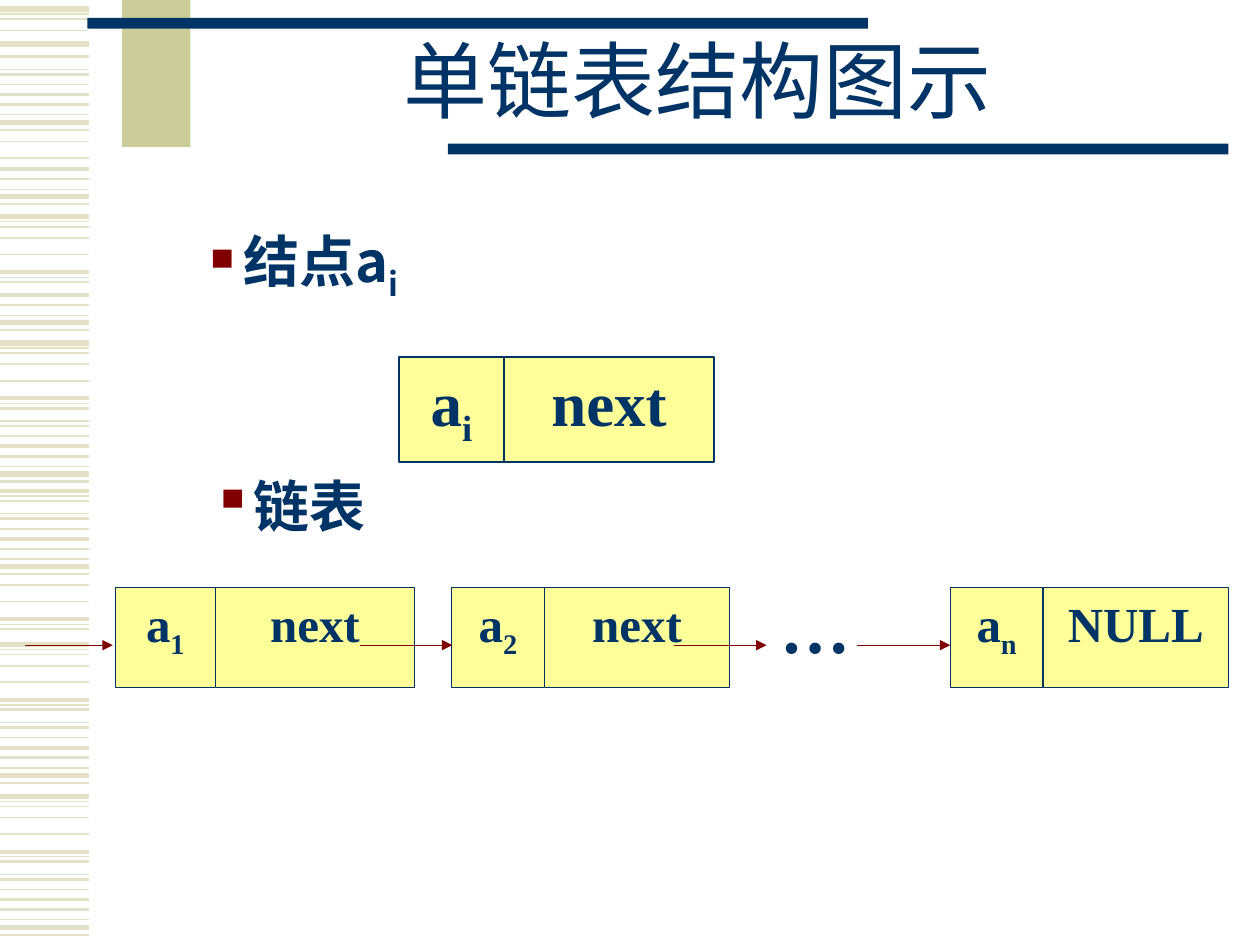
from lxml import etree
from pptx import Presentation
from pptx.dml.color import RGBColor
from pptx.enum import shapes, text
from pptx.oxml import ns
from pptx.util import Pt

NAVY = RGBColor(0x00, 0x33, 0x66)
MAROON = RGBColor(0x80, 0x00, 0x00)
YELLOW = RGBColor(0xFF, 0xFF, 0x99)
KHAKI = RGBColor(0xCC, 0xCC, 0x99)
PALE_KHAKI = RGBColor(0xE3, 0xE2, 0xC7)
SERIF = "Times New Roman"
CJK = "Noto Sans CJK SC"

# One stripe motif: (offset from its top, line width)
MOTIF = [(0, 3), (2.9, 0.75), (5.8, 1), (12.2, 1), (21.6, 1), (31.7, 2.25),
         (34.6, 0.75), (37.4, 1.5), (44.6, 0.75), (47.5, 1.5), (53.3, 1),
         (59, 2.25), (64.8, 1.5), (70.6, 0.75), (74.9, 3), (79.2, 1.5)]
# Motif repeats: (top, first stripe, end stripe)
REPEATS = [(455, 0, 16), (368.2, 0, 16), (322.1, 3, 8), (248.9, 5, 16),
           (196, 0, 16), (123.8, 0, 8), (109.5, 11, 16), (68.6, 3, 5),
           (37.5, 11, 16), (-5, 7, 16), (5.2, 0, 4), (25.2, 0, 1)]


def add_line(slide, x1, x2, y, color, width, arrow=False):
    line = slide.shapes.add_connector(
        shapes.MSO_CONNECTOR.STRAIGHT, Pt(x1), Pt(y), Pt(x2), Pt(y))
    line.line.color.rgb = color
    line.line.width = Pt(width)
    properties = line._element.spPr
    if arrow:
        etree.SubElement(properties.get_or_add_ln(), ns.qn("a:tailEnd"), type="triangle")
    etree.SubElement(properties, ns.qn("a:effectLst"))


def add_rect(slide, x, y, w, h, fill, outline=None):
    rect = slide.shapes.add_shape(shapes.MSO_SHAPE.RECTANGLE, Pt(x), Pt(y), Pt(w), Pt(h))
    rect.shadow.inherit = False
    rect.fill.solid()
    rect.fill.fore_color.rgb = fill
    if outline is None:
        rect.line.fill.background()
    else:
        rect.line.color.rgb = outline
        rect.line.width = Pt(0.75)
    return rect


def add_run(paragraph, wording, size, font=SERIF, bold=True, subscript=False):
    run = paragraph.add_run()
    run.text = wording
    run.font.size = Pt(size)
    run.font.name = font
    run.font.bold = bold
    run.font.color.rgb = NAVY
    properties = run.font._element
    etree.SubElement(properties, ns.qn("a:ea"), typeface=CJK)
    if subscript:
        properties.set("baseline", "-25000")


def add_symbol(paragraph, base, index, size, font=SERIF):
    add_run(paragraph, base, size, font)
    if index:
        add_run(paragraph, index, size, font, subscript=True)


def add_backdrop(slide, stripe_width):
    for top, first, end in REPEATS:
        for offset, width in MOTIF[first:end]:
            add_line(slide, 0, stripe_width, top + offset, PALE_KHAKI, width)
    add_rect(slide, 69.8, 0, 39, 84, KHAKI)
    for x, y in [(50, 10.2), (256, 82)]:
        add_rect(slide, x, y, 446, 6.2, NAVY)


def fill_title(slide, x, y, w, h):
    title = slide.shapes.title
    title.left, title.top, title.width, title.height = Pt(x), Pt(y), Pt(w), Pt(h)
    frame = title.text_frame
    frame.vertical_anchor = text.MSO_ANCHOR.MIDDLE
    heading = frame.paragraphs[0]
    heading.alignment = text.PP_ALIGN.CENTER
    heading.line_spacing = 0.85
    add_run(heading, "单链表结构图示", 48, bold=False)


def add_node(slide, x, y, unit, index, link, size):
    """A data cell one unit wide and a link cell two units wide."""
    cells = [(x, unit, "a", index), (x + unit, 2 * unit, link, "")]
    for left, width, base, sub in cells:
        # The nodes in the chain share one height per row
        height = unit if size > 30 else 57
        frame = add_rect(slide, left, y, width, height, YELLOW, NAVY).text_frame
        frame.word_wrap = True
        frame.vertical_anchor = text.MSO_ANCHOR.TOP
        content = frame.paragraphs[0]
        content.alignment = text.PP_ALIGN.CENTER
        add_symbol(content, base, sub, size)


def add_text_box(slide, x, y, w, h):
    frame = slide.shapes.add_textbox(Pt(x), Pt(y), Pt(w), Pt(h)).text_frame
    frame.word_wrap = True
    return frame.paragraphs[0]


def add_bullet_label(slide, x, y, w, h, base, index=""):
    label = add_text_box(slide, x, y, w, h)
    properties = label._p.get_or_add_pPr()
    properties.set("marL", str(Pt(24)))
    properties.set("indent", str(-Pt(24)))
    color = etree.SubElement(properties, ns.qn("a:buClr"))
    etree.SubElement(color, ns.qn("a:srgbClr"), val=str(MAROON))
    etree.SubElement(properties, ns.qn("a:buChar"), char="▪")
    add_symbol(label, base, index, 32, CJK)


def add_chain(slide, y):
    for x, unit, index, link in [(66, 57, "1", "next"), (258, 53, "2", "next"),
                                 (543, 53, "n", "NULL")]:
        add_node(slide, x, y, unit, index, link, 28)
    for start, end in [(14.5, 64.5), (205.5, 258.5), (385, 438), (490, 543)]:
        add_line(slide, start, end, y + 33, MAROON, 0.75, arrow=True)
    gap = add_text_box(slide, 439, y - 6, 84, 55.5)
    gap.space_before = Pt(25)
    add_run(gap, "…", 40)


def main():
    deck = Presentation()
    deck.slide_width, deck.slide_height = Pt(720), Pt(540)
    slide = deck.slides.add_slide(deck.slide_layouts[5])
    add_backdrop(slide, 51)
    fill_title(slide, 108, 13.7, 581, 72)
    # Single node
    add_bullet_label(slide, 108, 126, 151, 55.5, "结点a", "i")
    add_node(slide, 228, 204, 60, "i", "next", 36)
    # Linked list
    add_bullet_label(slide, 114, 266, 110, 46, "链表")
    add_chain(slide, 335.7)
    deck.save("out.pptx")


if __name__ == "__main__":
    main()
